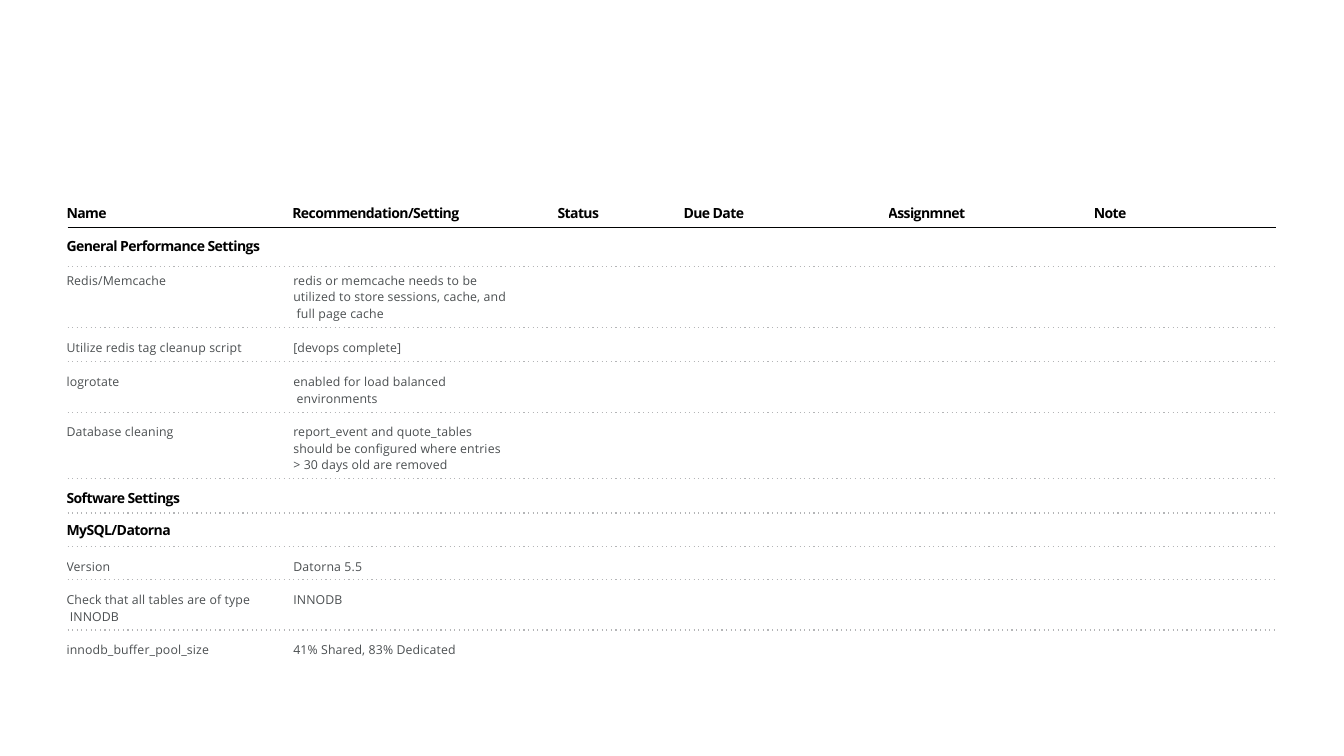
from lxml import etree
from pptx import Presentation
from pptx.dml.color import RGBColor
from pptx.enum.shapes import MSO_CONNECTOR
from pptx.enum.text import MSO_ANCHOR
from pptx.oxml.ns import qn
from pptx.util import Pt

PX = 9144
TOP = MSO_ANCHOR.TOP
STRAIGHT = MSO_CONNECTOR.STRAIGHT
BLACK = RGBColor(0x00, 0x00, 0x00)
RULE_BLACK = RGBColor(0x00, 0x01, 0x01)
RULE_GRAY = RGBColor(0xB4, 0xB5, 0xB7)
TEXT_GRAY = RGBColor(0x4B, 0x4F, 0x51)
FONT = "Open Sans"

COLUMN_WIDTHS = [224, 263, 125, 203, 204, 181]
HEADINGS = ["Name", "Recommendation/Setting", "Status", "Due Date", "Assignmnet", "Note"]
# Each row: height, space above the text, bold, texts from the left
ROWS = [
    (24, 0, True, HEADINGS),
    (38, 9, True, ["General Performance Settings"]),
    (61, 6, False, ["Redis/Memcache",
                    "redis or memcache needs to be\vutilized to store sessions, cache, and\v full page cache"]),
    (34, 12, False, ["Utilize redis tag cleanup script", "[devops complete]"]),
    (50, 12, False, ["logrotate", "enabled for load balanced\v environments"]),
    (66, 11, False, ["Database cleaning",
                     "report_event and quote_tables\vshould be configured where entries\v> 30 days old are removed"]),
    (34, 10, True, ["Software Settings"]),
    (33, 8, True, ["MySQL/Datorna"]),
    (33, 12, False, ["Version", "Datorna 5.5"]),
    (50, 12, False, ["Check that all tables are of type\v INNODB", "INNODB"]),
    (35, 11, False, ["innodb_buffer_pool_size", "41% Shared, 83% Dedicated"]),
]


def fill_cell(cell, text, space_above, indent, bold):
    """Write one cell in the heading or the body style."""
    cell.fill.background()
    cell.vertical_anchor = TOP
    cell.margin_left = indent * PX
    cell.margin_right = cell.margin_bottom = 0
    cell.margin_top = space_above * PX if text else 0
    cell.text_frame.text = text
    paragraph = cell.text_frame.paragraphs[0]
    font = paragraph.font
    font.name = FONT
    font.size = Pt(10 if bold else 8.8)
    font.bold = bold
    font.color.rgb = BLACK if bold else TEXT_GRAY
    for span in paragraph.runs:
        span._r.get_or_add_rPr().set("spc", "-40" if bold else "10")


def add_rule(page, left, top, width, color, dash):
    """Draw one horizontal rule."""
    rule = page.shapes.add_connector(STRAIGHT, left * PX, top * PX, (left + width) * PX, top * PX)
    rule.line.color.rgb = color
    rule.line.width = Pt(0.82)
    etree.SubElement(rule.line._get_or_add_ln(), qn("a:prstDash"), val=dash)
    etree.SubElement(rule._element.spPr, qn("a:effectLst"))


def add_checklist(page, left, top):
    """Place the settings checklist with its top left corner at the given point."""
    width = sum(COLUMN_WIDTHS)
    height = sum(row[0] for row in ROWS)
    frame = page.shapes.add_table(len(ROWS), len(COLUMN_WIDTHS),
                                  left * PX, top * PX, width * PX, height * PX)
    table = frame.table
    table.first_row = False
    table.horz_banding = False
    for column, column_width in zip(table.columns, COLUMN_WIDTHS):
        column.width = column_width * PX
    bottom = top
    for number, (row_height, space_above, bold, texts) in enumerate(ROWS):
        table.rows[number].height = row_height * PX
        for index in range(len(COLUMN_WIDTHS)):
            text = texts[index] if index < len(texts) else ""
            indent = 1 if index == 1 and not bold else 0
            fill_cell(table.cell(number, index), text, space_above, indent, bold)
        bottom += row_height
        if number == 0:
            add_rule(page, left + 1, bottom, width - 1, RULE_BLACK, "solid")
        elif number < len(ROWS) - 1:
            add_rule(page, left + 1, bottom, width - 1, RULE_GRAY, "dot")


def main():
    """Build the deck and save it."""
    deck = Presentation()
    deck.slide_width = 1333 * PX
    deck.slide_height = 750 * PX
    page = deck.slides.add_slide(deck.slide_layouts[6])
    add_checklist(page, 66, 202)
    deck.save("out.pptx")


if __name__ == "__main__":
    main()
